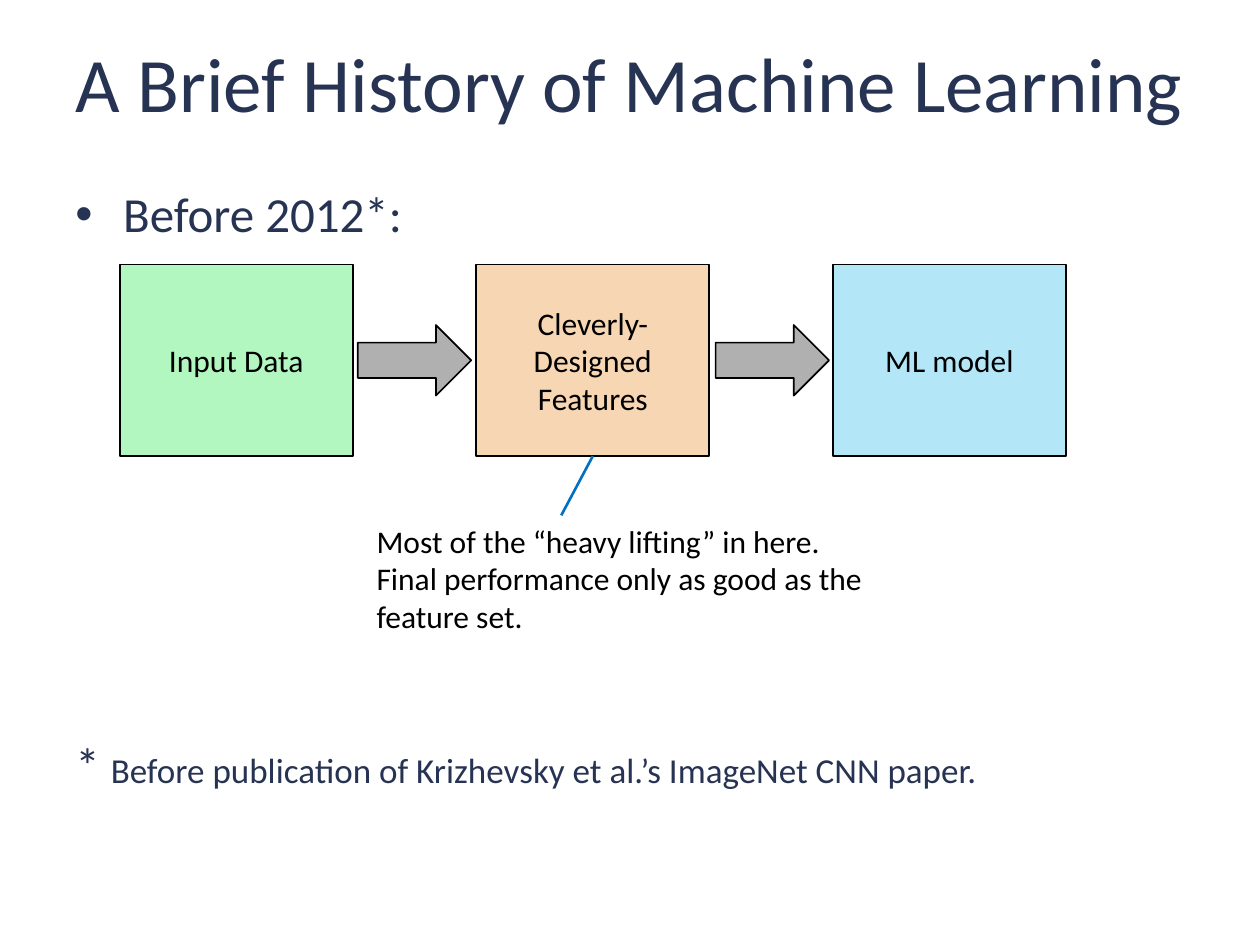
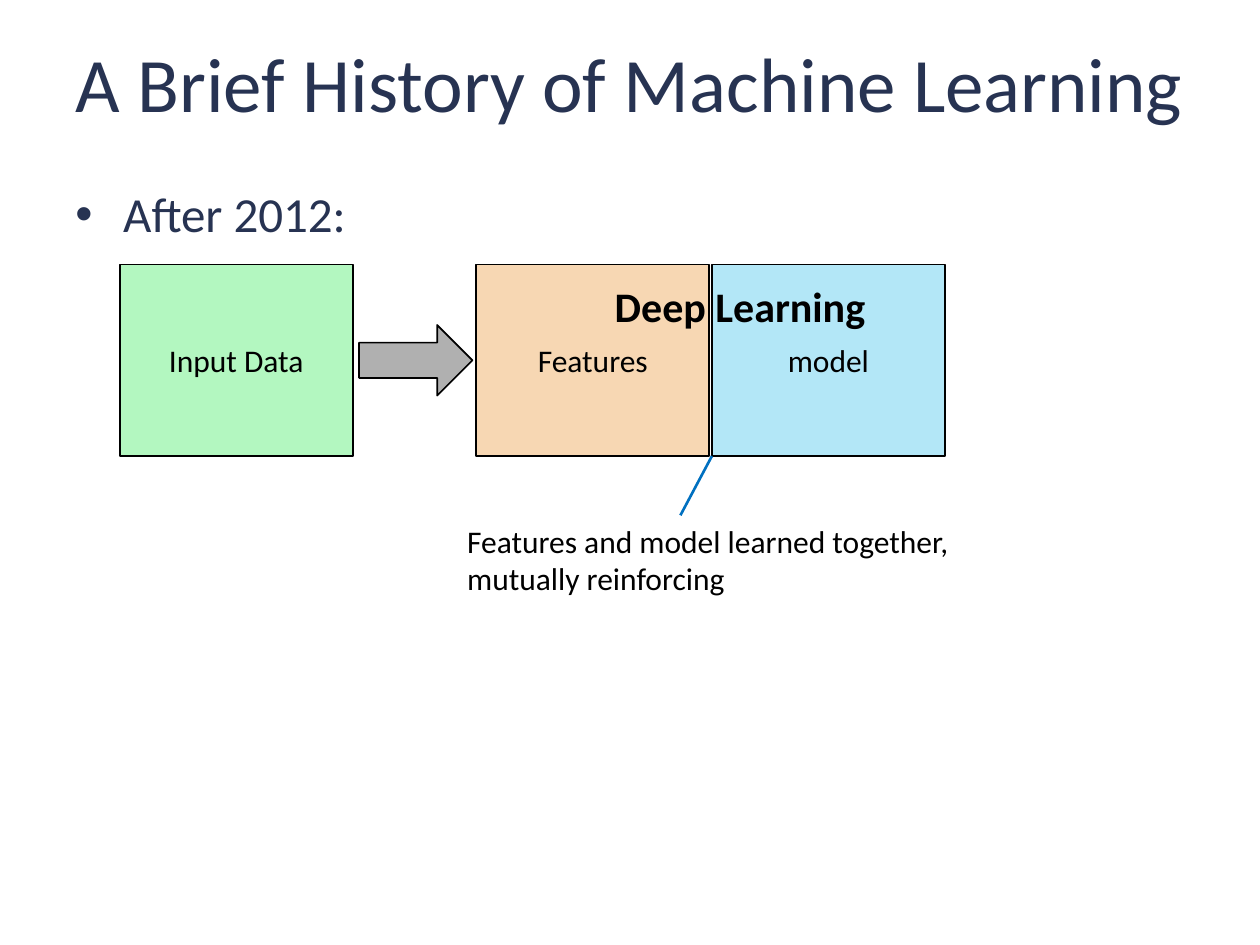
from lxml import etree
from pptx import Presentation
from pptx.dml.color import RGBColor
from pptx.enum.shapes import MSO_CONNECTOR, MSO_SHAPE
from pptx.enum.text import MSO_ANCHOR, MSO_AUTO_SIZE, PP_ALIGN
from pptx.oxml.ns import qn
from pptx.util import Inches, Pt

RECTANGLE, RIGHT_ARROW = MSO_SHAPE.RECTANGLE, MSO_SHAPE.RIGHT_ARROW
STRAIGHT = MSO_CONNECTOR.STRAIGHT
CENTER, MIDDLE = PP_ALIGN.CENTER, MSO_ANCHOR.MIDDLE

FONT = "Calibri"
NAVY, BLACK, GRAY, BLUE = "273352", "000000", "B0B0B0", "0070C0"
GREEN, ORANGE, SKY = "B3F7C0", "F7D7B3", "B3E7F7"

TITLE = "A Brief History of Machine Learning"
BOX_TOP, BOX_WIDTH, BOX_HEIGHT = 2.1, 1.85, 1.52
BOX_BOTTOM = BOX_TOP + BOX_HEIGHT
INPUT_LEFT, STEP = 0.95, 2.83
FEATURES_LEFT = INPUT_LEFT + STEP
ARROW_WIDTH, ARROW_HEIGHT = 0.9, 0.56
CALLOUT_TOP = 4.09


def rgb(hex_color):
    return RGBColor.from_string(hex_color)


def write(shape, text, size, color=BLACK, bold=False, wrap=True):
    """Put text in a shape and format every run."""
    frame = shape.text_frame
    frame.text = text
    frame.word_wrap = wrap
    for paragraph in frame.paragraphs:
        for run in paragraph.runs:
            run.font.name = FONT
            run.font.size = Pt(size)
            run.font.bold = bold
            run.font.color.rgb = rgb(color)
    return frame


presentation = Presentation()
presentation.slide_width = Inches(10)
presentation.slide_height = Inches(7.5)
title_only = presentation.slide_layouts[5]

# Boxes are (label, left, fill); callouts are (text, left, width, height).
eras = [
    {
        "heading": "Before 2012*:",
        "boxes": [
            ("Input Data", INPUT_LEFT, GREEN),
            ("Cleverly-Designed\vFeatures", FEATURES_LEFT, ORANGE),
            ("ML model", FEATURES_LEFT + STEP, SKY),
        ],
        "arrows": [2.84, 5.68],
        "callout": ("Most of the “heavy lifting” in here.\n"
                    "Final performance only as good as the\vfeature set.",
                    2.89, 4.09, 1.01),
        "pointer_left": FEATURES_LEFT + BOX_WIDTH / 2,
    },
    {
        "heading": "After 2012:",
        "boxes": [
            ("Input Data", INPUT_LEFT, GREEN),
            ("Features", FEATURES_LEFT, ORANGE),
            ("model", 5.65, SKY),
        ],
        "arrows": [2.85],
        "callout": ("Features and model learned together,\vmutually reinforcing",
                    3.61, 4.07, 0.71),
        "pointer_left": 5.65,
    },
]

slides = []
for era in eras:
    slide = presentation.slides.add_slide(title_only)
    slides.append(slide)

    title = slide.shapes.title
    title.left, title.top = Inches(0.5), Inches(0.12)
    title.width, title.height = Inches(9), Inches(1.06)
    frame = write(title, TITLE, 44, NAVY)
    frame.auto_size = MSO_AUTO_SIZE.NONE
    frame.vertical_anchor = MIDDLE
    frame.paragraphs[0].alignment = CENTER

    heading = slide.shapes.add_textbox(Inches(0.5), Inches(1.41), Inches(9), Inches(0.6))
    frame = write(heading, era["heading"], 28, NAVY)
    properties = frame.paragraphs[0]._p.get_or_add_pPr()
    properties.set("marL", str(Inches(0.38)))
    properties.set("indent", str(-Inches(0.38)))
    etree.SubElement(properties, qn("a:buFont")).set("typeface", "Arial")
    etree.SubElement(properties, qn("a:buChar")).set("char", "•")

    boxes = []
    for label, left, fill in era["boxes"]:
        box = slide.shapes.add_shape(RECTANGLE, Inches(left), Inches(BOX_TOP),
                                     Inches(BOX_WIDTH), Inches(BOX_HEIGHT))
        box.fill.solid()
        box.fill.fore_color.rgb = rgb(fill)
        frame = write(box, label, 18)
        frame.vertical_anchor = MIDDLE
        frame.paragraphs[0].alignment = CENTER
        boxes.append(box)

    arrows = []
    for left in era["arrows"]:
        arrow = slide.shapes.add_shape(RIGHT_ARROW, Inches(left), Inches(2.58),
                                       Inches(ARROW_WIDTH), Inches(ARROW_HEIGHT))
        arrow.fill.solid()
        arrow.fill.fore_color.rgb = rgb(GRAY)
        arrows.append(arrow)

    for shape in boxes + arrows:
        shape.shadow.inherit = False
        shape.line.color.rgb = rgb(BLACK)
        shape.line.width = Pt(1)

    text, left, width, height = era["callout"]
    callout = slide.shapes.add_textbox(Inches(left), Inches(CALLOUT_TOP),
                                       Inches(width), Inches(height))
    write(callout, text, 18, wrap=False)

    pointer_left = era["pointer_left"]
    pointer = slide.shapes.add_connector(
        STRAIGHT, Inches(pointer_left), Inches(BOX_BOTTOM),
        Inches(pointer_left - 0.25), Inches(CALLOUT_TOP))
    for box, (label, left, fill) in zip(boxes, era["boxes"]):
        if pointer_left == left + BOX_WIDTH / 2:
            pointer.begin_connect(box, 2)
    pointer.line.color.rgb = rgb(BLUE)
    pointer.line.width = Pt(1.5)
    etree.SubElement(pointer._element.spPr, qn("a:effectLst"))

before_slide, after_slide = slides

footnote = before_slide.shapes.add_textbox(Inches(0.5), Inches(5.78), Inches(9), Inches(0.6))
frame = write(footnote, "* ", 28, NAVY)
citation = frame.paragraphs[0].add_run()
citation.text = "Before publication of Krizhevsky et al.’s ImageNet CNN paper."
citation.font.name = FONT
citation.font.size = Pt(20)
citation.font.color.rgb = rgb(NAVY)

deep_learning = after_slide.shapes.add_textbox(Inches(4.78), Inches(2.18),
                                               Inches(2.21), Inches(0.5))
write(deep_learning, "Deep Learning", 24, bold=True, wrap=False)

presentation.save("out.pptx")
